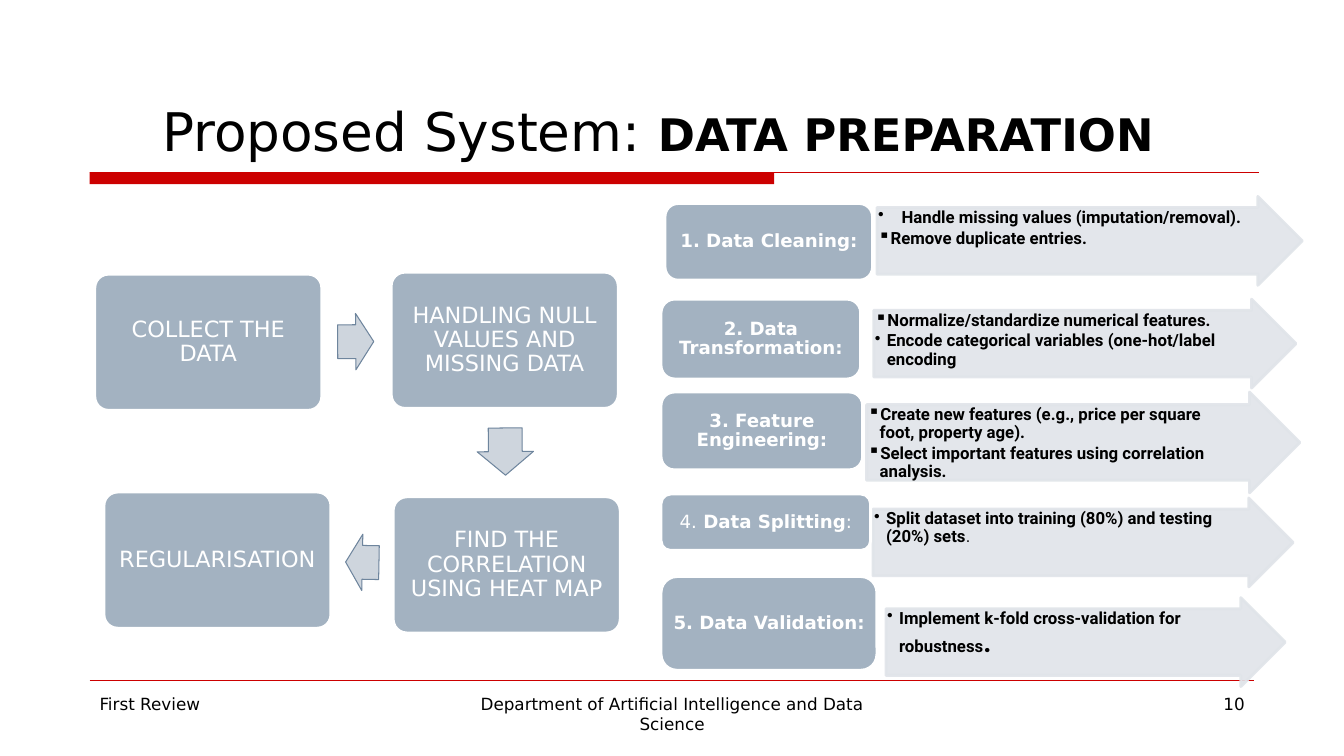
from lxml import etree
from pptx import Presentation
from pptx import util as u
from pptx.dml.color import RGBColor
from pptx.enum import shapes, text
from pptx.oxml.ns import qn

COLORS = {
    "red": "CC0000",
    "box": "A3B2C1",
    "arrow": "CED5DD",
    "arrow_edge": "6E859D",
    "detail": "E0E4E9",
    "white": "FFFFFF",
    "black": "000000",
}
SANS = "DejaVu Sans"
ROBOTO = "Roboto"

FLOW_BOXES = [
    (2.39, 6.91, "COLLECT THE DATA"),
    (9.86, 6.86, "HANDLING NULL VALUES AND MISSING DATA"),
    (9.91, 12.52, "FIND THE CORRELATION USING HEAT MAP"),
    (2.62, 12.4, "REGULARISATION"),
]
FLOW_ARROWS = [
    (8.51, 7.9, 0.91, 359.6),
    (12.14, 10.67, 1.19, 89.5),
    (8.71, 13.46, 0.84, 181.1),
]
STEPS = [
    ((16.76, 5.13, 5.23, 1.93), [("1. Data Cleaning:", {})],
     (22.1, 4.95, 10.72, 2.24),
     [("•", 0.59, [("Handle missing values (imputation/removal).", {})]),
      ("▪", 0.3, [("Remove duplicate entries.", {})])]),
    ((16.66, 7.54, 5.03, 2.01), [("2. Data Transformation:", {})],
     (22.02, 7.54, 10.64, 2.24),
     [("▪", 0.3, [("Normalize/standardize numerical features.", {})]),
      ("•", 0.3, [("Encode categorical variables (one-hot/label encoding", {})])]),
    ((16.66, 9.88, 5.08, 1.96), [("3. Feature Engineering:", {})],
     (21.84, 9.88, 10.92, 2.54),
     [("▪", 0.3, [("Create new features (e.g., price per square foot, property age).", {})]),
      ("▪", 0.3, [("Select important features using correlation analysis.", {})])]),
    ((16.66, 12.45, 5.28, 1.42),
     [("4.", {"bold": False}), (" Data Splitting", {}), (":", {"bold": False})],
     (22, 12.55, 10.59, 2.24),
     [("•", 0.3, [("Split dataset into training (80%) and testing (20%) sets", {}),
                  (".", {"size": u.Pt(10), "name": SANS, "bold": False})])]),
    ((16.66, 14.53, 5.44, 2.36), [("5. Data Validation:", {})],
     (22.33, 15.06, 10.06, 2.24),
     [("•", 0.3, [("Implement k-fold cross-validation for robustness", {}),
                  (".", {"size": u.Pt(20)})])]),
]
FOOTERS = [
    (2.26, 7.34, "First Review", text.PP_ALIGN.LEFT),
    (11.58, 10.72, "Department of Artificial Intelligence and Data Science", text.PP_ALIGN.CENTER),
    (24.28, 7.34, "10", text.PP_ALIGN.RIGHT),
]


def rgb(color):
    return RGBColor.from_string(COLORS[color])


def set_margins(frame, left, top, right, bottom):
    frame.margin_left, frame.margin_top = u.Cm(left), u.Cm(top)
    frame.margin_right, frame.margin_bottom = u.Cm(right), u.Cm(bottom)


def write(paragraph, runs, size, color, name=SANS, bold=False, align=text.PP_ALIGN.LEFT):
    paragraph.alignment = align
    font = paragraph.font
    font.size, font.name, font.bold = u.Pt(size), name, bold
    font.color.rgb = rgb(color)
    for words, changes in runs:
        run = paragraph.add_run()
        run.text = words
        for key, value in changes.items():
            setattr(run.font, key, value)


def add_bullet(paragraph, symbol, indent):
    properties = paragraph._p.get_or_add_pPr()
    properties.set("marL", str(u.Cm(indent)))
    properties.set("indent", str(-u.Cm(indent)))
    bullet = etree.Element(qn("a:buChar"), char=symbol)
    properties.find(qn("a:defRPr")).addprevious(bullet)


def add_block(slide, kind, place, fill, line, width):
    shape = slide.shapes.add_shape(kind, *map(u.Cm, place))
    shape.shadow.inherit = False
    shape.fill.solid()
    shape.fill.fore_color.rgb = rgb(fill)
    shape.line.color.rgb = rgb(line)
    shape.line.width = u.Pt(width)
    return shape


def add_box(slide, place, runs, size, margins, rounding=0.17, bold=False):
    shape = add_block(slide, shapes.MSO_SHAPE.ROUNDED_RECTANGLE, place, "box", "white", 2)
    shape.adjustments[0] = rounding
    frame = shape.text_frame
    frame.word_wrap = True
    frame.vertical_anchor = text.MSO_ANCHOR.MIDDLE
    set_margins(frame, *margins)
    paragraph = frame.paragraphs[0]
    paragraph.line_spacing = 0.9
    write(paragraph, runs, size, "white", bold=bold, align=text.PP_ALIGN.CENTER)


def add_flow_arrow(slide, left, top, width, rotation):
    shape = add_block(slide, shapes.MSO_SHAPE.RIGHT_ARROW, (left, top, width, 1.42),
                      "arrow", "arrow_edge", 0.75)
    shape.adjustments[0] = 0.6
    shape.rotation = rotation


def add_detail_arrow(slide, place, bullets):
    shape = add_block(slide, shapes.MSO_SHAPE.RIGHT_ARROW, place, "detail", "detail", 2)
    shape.adjustments[0] = 0.75
    for color in shape._element.spPr.iter(qn("a:srgbClr")):
        etree.SubElement(color, qn("a:alpha"), val="90000")
    frame = shape.text_frame
    frame.word_wrap = True
    frame.vertical_anchor = text.MSO_ANCHOR.TOP
    set_margins(frame, 0.03, 0.03, place[3] / 4 + 0.03, 0.03)
    for number, (symbol, indent, runs) in enumerate(bullets):
        paragraph = frame.add_paragraph() if number else frame.paragraphs[0]
        paragraph.line_spacing = 0.9
        paragraph.space_after = u.Pt(2)
        write(paragraph, runs, 12, "black", ROBOTO, True)
        add_bullet(paragraph, symbol, indent)


def add_rule(slide, left, top, right, width):
    line = slide.shapes.add_connector(shapes.MSO_CONNECTOR.STRAIGHT,
                                      *map(u.Cm, (left, top, right, top)))
    line.line.color.rgb = rgb("red")
    line.line.width = u.Pt(width)
    etree.SubElement(line._element.spPr, qn("a:effectLst"))


def add_footer(slide, left, width, words, align):
    box = slide.shapes.add_textbox(*map(u.Cm, (left, 17.35, width, 1.32)))
    box.text_frame.word_wrap = True
    write(box.text_frame.paragraphs[0], [(words, {})], 12, "black", align=align)


def set_title(slide):
    title = slide.shapes.title
    title.left, title.top, title.width, title.height = map(u.Cm, (2.13, 0.84, 29.64, 3.38))
    frame = title.text_frame
    frame.auto_size = text.MSO_AUTO_SIZE.NONE
    frame.vertical_anchor = text.MSO_ANCHOR.BOTTOM
    set_margins(frame, 1.96, 0.13, 0.25, 0.13)
    write(frame.paragraphs[0],
          [("Proposed System: ", {}), ("DATA PREPARATION", {"size": u.Pt(32), "bold": True})],
          38, "black")


def main():
    presentation = Presentation()
    presentation.slide_width, presentation.slide_height = u.Cm(33.87), u.Cm(19.05)
    slide = presentation.slides.add_slide(presentation.slide_layouts[5])
    set_title(slide)
    bar = add_block(slide, shapes.MSO_SHAPE.RECTANGLE, (2.26, 4.34, 17.25, 0.3), "red", "red", 0.75)
    bar.line.fill.background()
    add_rule(slide, 2.26, 4.34, 31.72, 0.75)
    add_rule(slide, 2.26, 17.15, 31.6, 0.25)
    for footer in FOOTERS:
        add_footer(slide, *footer)
    for left, top, words in FLOW_BOXES:
        add_box(slide, (left, top, 5.72, 3.43), [(words, {})], 16, [0.18] * 4, 0.1)
    for arrow in FLOW_ARROWS:
        add_flow_arrow(slide, *arrow)
    for label_place, label, detail_place, bullets in STEPS:
        add_detail_arrow(slide, detail_place, bullets)
        add_box(slide, label_place, label, 13, (0.13, 0.08, 0.13, 0.08), bold=True)
    presentation.save("out.pptx")


if __name__ == "__main__":
    main()
